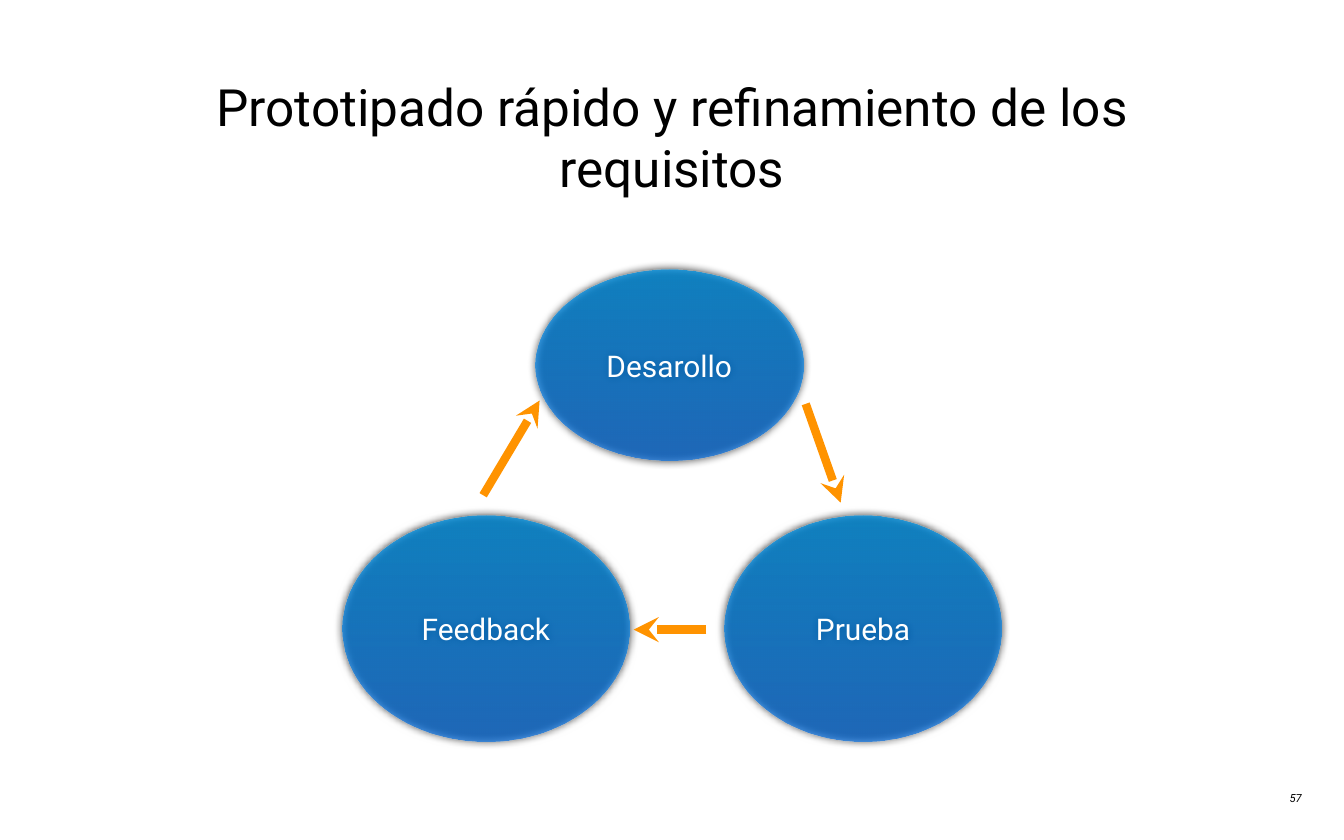
from typing import NamedTuple

from lxml.etree import SubElement
from pptx import Presentation
from pptx.dml.color import RGBColor
from pptx.enum.shapes import MSO_CONNECTOR, MSO_SHAPE
from pptx.enum.text import MSO_ANCHOR, PP_ALIGN
from pptx.oxml.ns import qn
from pptx.util import Inches, Pt

FONT = "Roboto"
GRADIENT = (("0097EB", 75), ("0071EB", 65))  # colour, opacity in percent
ARROW_COLOR = "FF9300"


class Stage(NamedTuple):
    label: str
    left: float
    top: float
    width: float
    height: float


class Arrow(NamedTuple):
    x1: float
    y1: float
    x2: float
    y2: float


STAGES = (
    Stage("Prueba", 10.78, 7.67, 4.13, 3.36),
    Stage("Desarollo", 7.97, 4.01, 3.98, 2.85),
    Stage("Feedback", 5.09, 7.67, 4.28, 3.36),
)
ARROWS = (
    Arrow(7.19, 7.37, 8.03, 5.96),
    Arrow(11.99, 6.01, 12.51, 7.48),
    Arrow(10.51, 9.37, 9.43, 9.37),
)


def rgb(color: str) -> RGBColor:
    return RGBColor.from_string(color)


def set_text(sp, text: str, size: float, color: str, align=PP_ALIGN.CENTER,
             anchor=MSO_ANCHOR.MIDDLE, wrap: bool = True, italic: bool = False) -> None:
    tf = sp.text_frame
    tf.margin_left = tf.margin_right = tf.margin_top = tf.margin_bottom = Inches(0.06)
    tf.word_wrap = wrap
    tf.vertical_anchor = anchor
    tf.text = text
    p = tf.paragraphs[0]
    p.alignment = align
    font = p.runs[0].font
    font.name, font.size, font.italic = FONT, Pt(size), italic
    font.color.rgb = rgb(color)


def add_glow_shadow(sp) -> None:
    """Black blurred shadow centred under the shape."""
    sp.shadow.inherit = False
    effects = sp._element.spPr.find(qn("a:effectLst"))
    shadow = SubElement(effects, qn("a:outerShdw"), blurRad=str(Pt(9)), dist="0",
                        dir="5400000", rotWithShape="0")
    SubElement(shadow, qn("a:srgbClr"), val="000000")


def add_stage(slide, stage: Stage) -> None:
    sp = slide.shapes.add_shape(MSO_SHAPE.OVAL, *map(Inches, stage[1:]))
    sp.line.fill.background()
    sp.fill.gradient()
    sp.fill.gradient_angle = 270
    for stop, (color, _) in zip(sp.fill.gradient_stops, GRADIENT):
        stop.color.rgb = rgb(color)
    colors = sp._element.spPr.iter(qn("a:srgbClr"))
    for color, (_, opacity) in zip(list(colors), GRADIENT):
        SubElement(color, qn("a:alpha"), val=str(opacity * 1000))
    add_glow_shadow(sp)
    set_text(sp, stage.label, 32, "FFFFFF")


def add_arrow(slide, arrow: Arrow) -> None:
    line = slide.shapes.add_connector(MSO_CONNECTOR.STRAIGHT, *map(Inches, arrow))
    line.line.color.rgb = rgb(ARROW_COLOR)
    line.line.width = Pt(9)
    SubElement(line.line._get_or_add_ln(), qn("a:tailEnd"), type="stealth")
    SubElement(line._element.spPr, qn("a:effectLst"))


def main() -> None:
    prs = Presentation()
    prs.slide_width, prs.slide_height = Inches(20), Inches(12.5)
    slide = prs.slides.add_slide(prs.slide_layouts[6])

    # Slide number
    number = slide.shapes.add_textbox(*map(Inches, (19.13, 11.71, 0.32, 0.31)))
    set_text(number, "57", 12, "000000", PP_ALIGN.LEFT, MSO_ANCHOR.TOP,
             wrap=False, italic=True)

    # Title
    title = slide.shapes.add_textbox(*map(Inches, (2.79, 0.88, 14.42, 2.3)))
    set_text(title, "Prototipado rápido y refinamiento de los requisitos", 55, "000000")

    # Cycle of stages
    for stage in STAGES:
        add_stage(slide, stage)
    for arrow in ARROWS:
        add_arrow(slide, arrow)

    prs.save("out.pptx")


if __name__ == "__main__":
    main()
